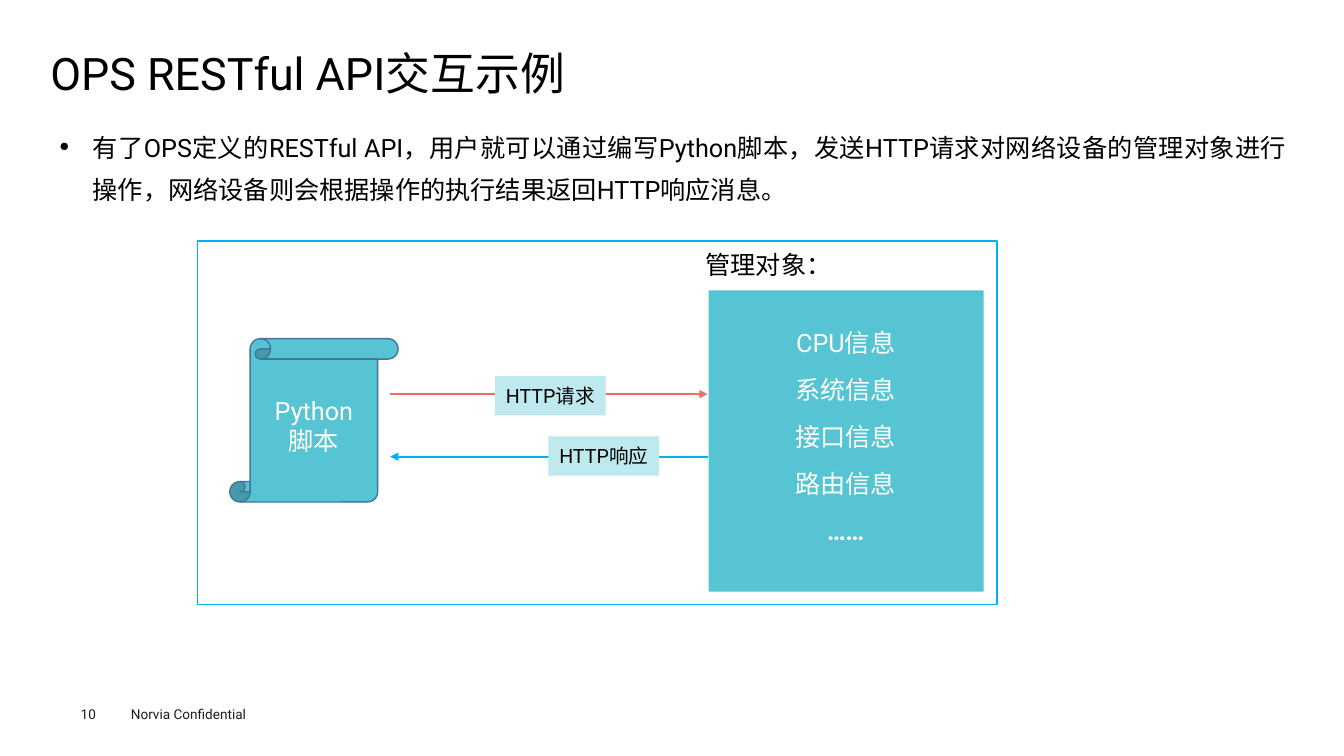
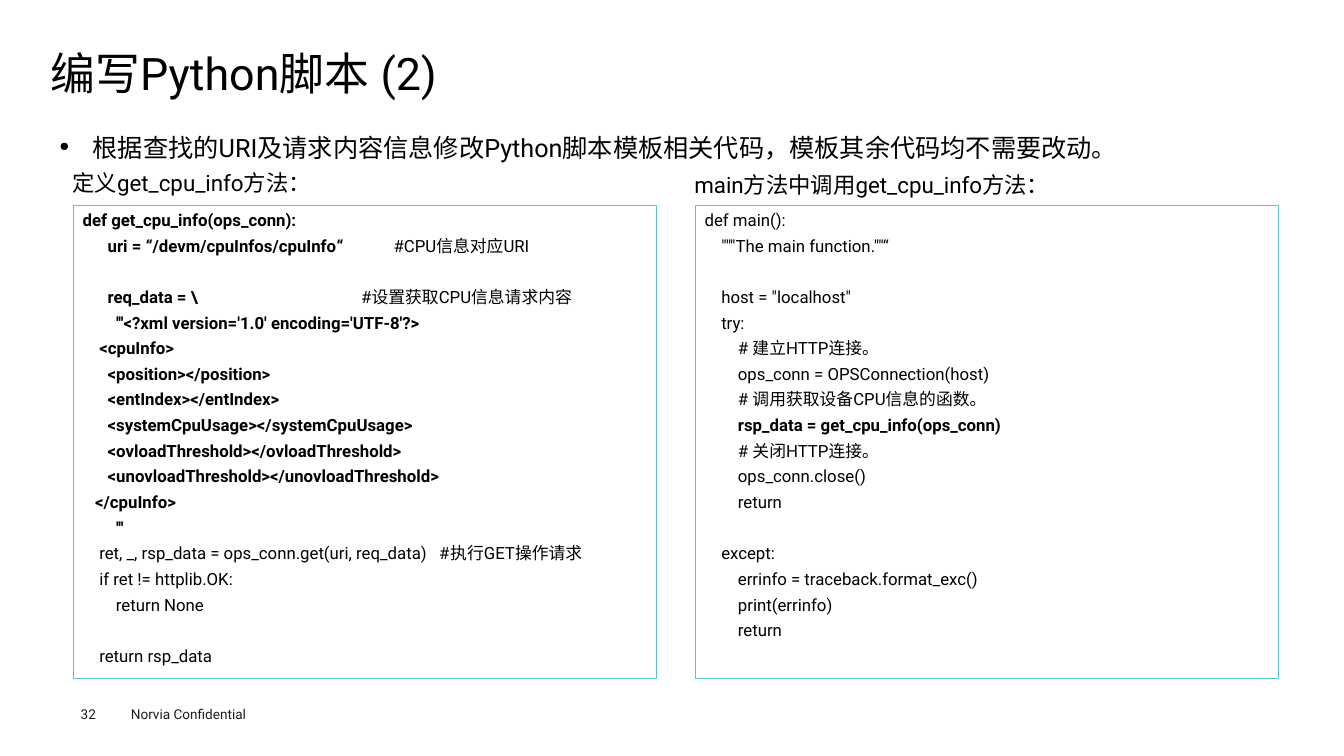
from dataclasses import dataclass

import pptx
import pptx.dml.color
import pptx.enum.shapes
import pptx.enum.text
import pptx.oxml
import pptx.oxml.ns
import pptx.util

SHAPE = pptx.enum.shapes.MSO_SHAPE
ALIGN = pptx.enum.text.PP_ALIGN
ANCHOR = pptx.enum.text.MSO_ANCHOR
NAMESPACE = pptx.oxml.ns.nsdecls("a")


@dataclass(frozen=True)
class Theme:
    font: str = "Roboto"
    black: str = "000000"
    white: str = "FFFFFF"
    gray: str = "1D1D1B"
    teal: str = "56C4D2"
    pale_teal: str = "BEE9EE"
    blue: str = "00B0F0"
    red: str = "EC7061"
    scroll_edge: str = "43739E"
    title: float = 32
    body: float = 18
    caption: float = 16
    label: float = 14
    code: float = 12
    footer: float = 9.7


THEME = Theme()
SLIDE_COLUMNS, SLIDE_ROWS = 133.33, 75
CELL = 0.1
FOOTER = "Norvia Confidential"

OBJECTS = ["CPU信息", "系统信息", "接口信息", "路由信息", "……"]
MESSAGES = [
    ("HTTP请求", THEME.red, 38.7, 70.2, 39.1, 49.1, 37.3),
    ("HTTP响应", THEME.blue, 70.2, 38.7, 45.3, 54.4, 43.3),
]

GET_CPU_INFO = [
    ("def get_cpu_info(ops_conn):", ""),
    ("      uri = “/devm/cpuInfos/cpuInfo“            ", "#CPU信息对应URI"),
    ("", ""),
    ("      req_data = \\                                       ", "#设置获取CPU信息请求内容"),
    ("        '''<?xml version='1.0' encoding='UTF-8'?>", ""),
    ("    <cpuInfo>", ""),
    ("      <position></position>", ""),
    ("      <entIndex></entIndex>", ""),
    ("      <systemCpuUsage></systemCpuUsage>", ""),
    ("      <ovloadThreshold></ovloadThreshold>", ""),
    ("      <unovloadThreshold></unovloadThreshold>", ""),
    ("   </cpuInfo>", ""),
    ("        '''", ""),
    ("", "    ret, _, rsp_data = ops_conn.get(uri, req_data)   #执行GET操作请求"),
    ("", "    if ret != httplib.OK:"),
    ("", "        return None"),
    ("", ""),
    ("", "    return rsp_data"),
]

MAIN = [
    ("", "def main():"),
    ("", '    """The main function.""“'),
    ("", ""),
    ("", '    host = "localhost"'),
    ("", "    try:"),
    ("", "        # 建立HTTP连接。"),
    ("", "        ops_conn = OPSConnection(host)"),
    ("", "        # 调用获取设备CPU信息的函数。"),
    ("        rsp_data = get_cpu_info(ops_conn)", ""),
    ("", "        # 关闭HTTP连接。"),
    ("", "        ops_conn.close()"),
    ("", "        return"),
    ("", ""),
    ("", "    except:"),
    ("", "        errinfo = traceback.format_exc()"),
    ("", "        print(errinfo)"),
    ("", "        return"),
]


def cells(count):
    return pptx.util.Inches(count * CELL)


def color(value):
    return pptx.dml.color.RGBColor.from_string(value)


def style_span(span, size, ink):
    span.font.size = pptx.util.Pt(size)
    span.font.name = THEME.font
    span.font.color.rgb = color(ink)
    latin = span.font._element.find(pptx.oxml.ns.qn("a:latin"))
    latin.addnext(pptx.oxml.parse_xml(f'<a:ea {NAMESPACE} typeface="{THEME.font}"/>'))


def style_text(box, size, ink=THEME.black, align=ALIGN.LEFT, gap=0):
    for index, para in enumerate(box.text_frame.paragraphs):
        para.alignment = align
        para.space_before = pptx.util.Pt(gap if index else 0)
        for span in para.runs:
            style_span(span, size, ink)


def set_margins(box, horizontal=0, vertical=0):
    frame = box.text_frame
    frame.margin_left = frame.margin_right = cells(horizontal)
    frame.margin_top = frame.margin_bottom = cells(vertical)


def add_text(page, place, text, size, ink=THEME.black, align=ALIGN.LEFT, gap=0):
    box = page.shapes.add_textbox(*map(cells, place))
    box.text_frame.word_wrap = True
    box.text_frame.text = text
    style_text(box, size, ink, align, gap)
    return box


def add_panel(page, place, fill=None, line=None, weight=1, kind=SHAPE.RECTANGLE):
    panel = page.shapes.add_shape(kind, *map(cells, place))
    panel.shadow.inherit = False
    if fill:
        panel.fill.solid()
        panel.fill.fore_color.rgb = color(fill)
    else:
        panel.fill.background()
    if line:
        panel.line.color.rgb = color(line)
        panel.line.width = pptx.util.Pt(weight)
    else:
        panel.line.fill.background()
    return panel


def add_arrow(page, start, end, row, ink):
    arrow = page.shapes.add_connector(
        pptx.enum.shapes.MSO_CONNECTOR.STRAIGHT, *map(cells, (start, row, end, row)))
    arrow.line.color.rgb = color(ink)
    arrow.line.width = pptx.util.Pt(1.5)
    arrow.line._get_or_add_ln().append(
        pptx.oxml.parse_xml(f'<a:tailEnd {NAMESPACE} type="triangle"/>'))
    arrow._element.spPr.append(pptx.oxml.parse_xml(f"<a:effectLst {NAMESPACE}/>"))


def add_message(page, text, ink, start, end, row, left, top):
    add_arrow(page, start, end, row, ink)
    label = add_panel(page, (left, top, 11, 3.9), THEME.pale_teal)
    set_margins(label)
    label.text_frame.word_wrap = False
    label.text_frame.text = text
    style_text(label, THEME.label, align=ALIGN.CENTER)


def add_bullet(page, text):
    box = add_text(page, (5, 11.5, 123.5, 53.4), text, THEME.body, align=ALIGN.JUSTIFY)
    set_margins(box, 0.9, 0.4)
    para = box.text_frame.paragraphs[0]
    para.line_spacing = 1.4
    properties = para._p.get_or_add_pPr()
    properties.set("marL", str(cells(3.3)))
    properties.set("indent", str(-cells(3.3)))
    properties.append(pptx.oxml.parse_xml(f'<a:buSzPct {NAMESPACE} val="50000"/>'))
    properties.append(pptx.oxml.parse_xml(f'<a:buChar {NAMESPACE} char="●"/>'))


def add_code(page, place, lines):
    panel = add_panel(page, place, line=THEME.teal, weight=0.75)
    set_margins(panel, 0.9, 0.4)
    frame = panel.text_frame
    frame.vertical_anchor = ANCHOR.TOP
    frame.word_wrap = True
    for index, parts in enumerate(lines):
        para = frame.add_paragraph() if index else frame.paragraphs[0]
        for text, bold in zip(parts, (True, False)):
            if text:
                span = para.add_run()
                span.text = text
                span.font.bold = bold
        if not any(parts):
            para._p.append(pptx.oxml.parse_xml(
                f'<a:endParaRPr {NAMESPACE} sz="{THEME.code * 100}">'
                f'<a:latin typeface="{THEME.font}"/></a:endParaRPr>'))
    style_text(panel, THEME.code, align=ALIGN.JUSTIFY, gap=3.9)


def add_page(deck, title, number, bullet):
    page = deck.slides.add_slide(deck.slide_layouts[5])
    heading = page.shapes.title
    heading.left, heading.top, heading.width, heading.height = map(cells, (5, 4.9, 123.5, 5.3))
    heading.text_frame.text = title
    heading.text_frame.auto_size = pptx.enum.text.MSO_AUTO_SIZE.NONE
    heading.text_frame.vertical_anchor = ANCHOR.MIDDLE
    set_margins(heading)
    style_text(heading, THEME.title)
    heading.text_frame.paragraphs[0].line_spacing = 0.9
    add_text(page, (12, 69.5, 16, 2.7), FOOTER, THEME.footer, THEME.gray)
    set_margins(add_text(page, (8, 70, 5.5, 1.6), number, THEME.footer, THEME.gray))
    add_bullet(page, bullet)
    return page


def build_interaction(deck):
    page = add_page(
        deck, "OPS RESTful API交互示例", "10",
        "有了OPS定义的RESTful API，用户就可以通过编写Python脚本，发送HTTP请求对网络设备的"
        "管理对象进行操作，网络设备则会根据操作的执行结果返回HTTP响应消息。")
    add_panel(page, (19.6, 23.9, 79.3, 36.1), line=THEME.blue)
    add_text(page, (69, 24.2, 26.6, 4), "管理对象：", THEME.body)
    add_panel(page, (70.3, 28.8, 27.3, 29.9), THEME.teal)
    objects = add_text(page, (75.7, 32, 16.4, 25.9), "\n".join(OBJECTS), THEME.body,
                       THEME.white, ALIGN.CENTER, gap=12)
    objects.text_frame.paragraphs[-1].runs[0].font.bold = True
    for message in MESSAGES:
        add_message(page, *message)
    script = add_panel(page, (22.8, 33.6, 16.7, 16.2), THEME.teal, THEME.scroll_edge,
                       kind=SHAPE.VERTICAL_SCROLL)
    script.text_frame.text = "Python\n脚本"
    style_text(script, THEME.body, THEME.white, ALIGN.CENTER)


def build_code(deck):
    page = add_page(
        deck, "编写Python脚本 (2)", "32",
        "根据查找的URI及请求内容信息修改Python脚本模板相关代码，模板其余代码均不需要改动。")
    listings = [
        ("定义get_cpu_info方法：", 16.3, GET_CPU_INFO),
        ("main方法中调用get_cpu_info方法：", 16.5, MAIN),
    ]
    for index, (caption, top, lines) in enumerate(listings):
        left = 7.3 + 61.7 * index
        add_code(page, (left, 20.4, 57.8, 46.9), lines)
        add_text(page, (left - 1.1, top, 45, 3.7), caption, THEME.caption)


def main():
    deck = pptx.Presentation()
    deck.slide_width, deck.slide_height = cells(SLIDE_COLUMNS), cells(SLIDE_ROWS)
    build_interaction(deck)
    build_code(deck)
    deck.save("out.pptx")


if __name__ == "__main__":
    main()
